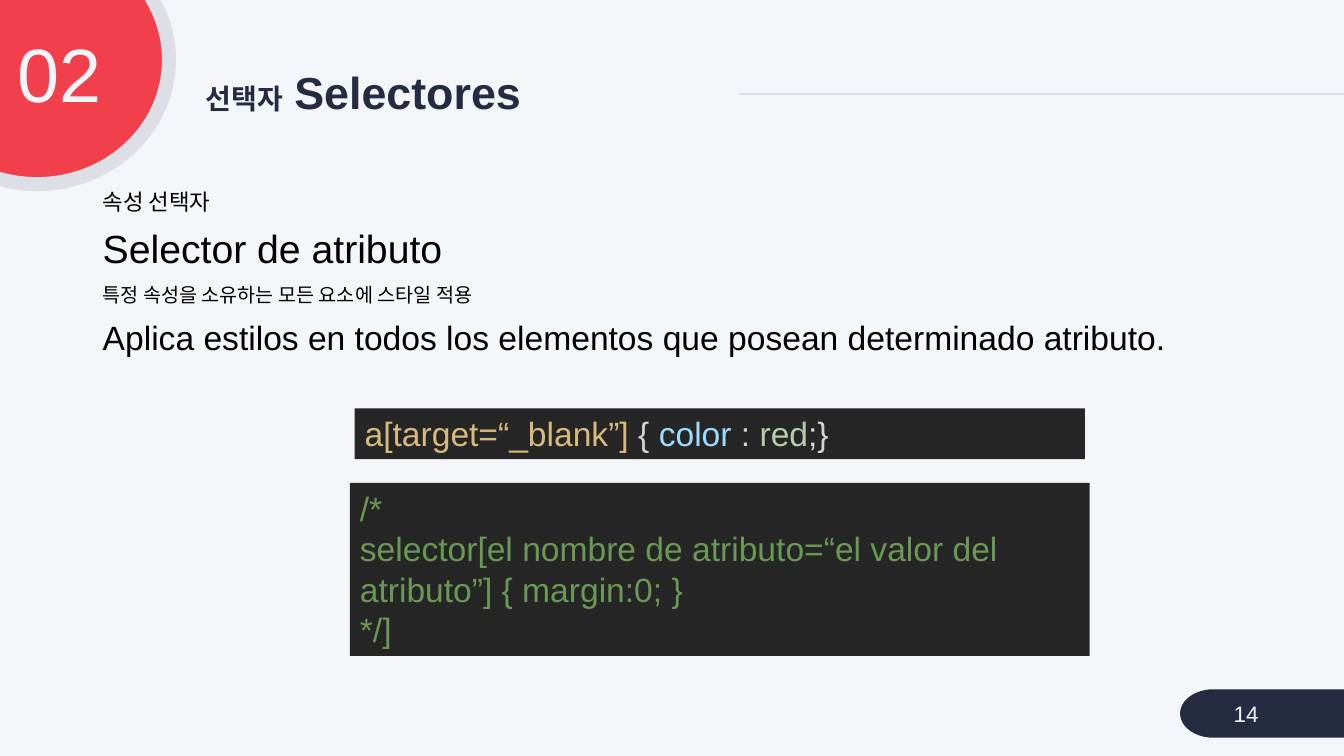
from pptx import Presentation
from pptx.dml.color import RGBColor
from pptx.enum.shapes import MSO_CONNECTOR, MSO_SHAPE
from pptx.enum.text import MSO_ANCHOR, PP_ALIGN
from pptx.oxml.ns import qn
from pptx.util import Cm, Pt
from lxml import etree

TOP, MIDDLE = MSO_ANCHOR.TOP, MSO_ANCHOR.MIDDLE
LEFT, RIGHT = PP_ALIGN.LEFT, PP_ALIGN.RIGHT
OVAL, PILL, RECTANGLE = MSO_SHAPE.OVAL, MSO_SHAPE.FLOWCHART_TERMINATOR, MSO_SHAPE.RECTANGLE
STRAIGHT = MSO_CONNECTOR.STRAIGHT

THEME = {
    "font": "Arial",
    "colors": {
        "background": "F4F5F9", "rule": "DDDFE6", "accent": "F1404B", "navy": "252C41",
        "text": "000000", "code_fill": "262626", "selector": "D7BA7D",
        "punctuation": "D4D4D4", "property": "9CDCFE", "value": "B5CEA8", "comment": "6A9955",
    },
    "sizes": {
        "section": 54, "title_gap": 36, "title": 32, "heading": 28, "body": 24, "code": 24,
        "title_note": 20, "heading_note": 16, "page": 16, "body_note": 14,
    },
}

SECTION = [[("02", "section", "background")]]
PAGE = [[("14", "page", "background")]]
TITLE = [[("선택자", "title_note", "navy"), (" ", "title_gap", "navy"), ("Selectores", "title", "navy")]]
BODY = [
    [("속성 선택자", "heading_note", "text")],
    [("Selector de atributo", "heading", "text")],
    [("특정 속성을 소유하는 모든 요소에 스타일 적용", "body_note", "text")],
    [("Aplica estilos en todos los elementos que posean determinado atributo.", "body", "text")],
]
RULE_CODE = [[
    ("a[target=“_blank”] ", "code", "selector"),
    ("{ ", "code", "punctuation"),
    ("color", "code", "property"),
    (" : ", "code", "punctuation"),
    ("red", "code", "value"),
    (";}", "code", "punctuation"),
]]
SYNTAX_CODE = [[(line, "code", "comment")] for line in (
    "/*",
    "selector[el nombre de atributo=“el valor del atributo”] { margin:0; }",
    "*/]",
)]

SLIDE_WIDTH, SLIDE_HEIGHT = 33.87, 19.05
RULE_START, RULE_TOP = 18.62, 2.36
DECORATIONS = [
    (OVAL, (-2.39, -1.63, 6.65, 6.27), "accent", ("rule", 10)),
    (PILL, (29.74, 17.37, 5.21, 1.22), "navy", None),
]
TEXT_BOXES = [
    (SECTION, (-0.28, 0.81, 3.1, 2.34), {"align": RIGHT, "line_spacing": 0.9, "space_before": 10}),
    (PAGE, (30.84, 17.48, 2.77, 1.02), {"anchor": MIDDLE}),
    (BODY, (2.34, 4.7, 29.21, 13.64), {"line_spacing": 0.9, "space_before": 10}),
    (TITLE, (4.93, 1.5, 13.69, 1.7), {"anchor": MIDDLE, "line_spacing": 0.9, "bold": True}),
]
CODE_CENTER = 18.14
CODE_BLOCKS = [(RULE_CODE, 10.29, 18.4, 1.28), (SYNTAX_CODE, 12.17, 18.64, 4.36)]


def color(name):
    return RGBColor.from_string(THEME["colors"][name])


def box(edges):
    return [Cm(edge) for edge in edges]


def write(shape, paragraphs, anchor=TOP, align=LEFT, line_spacing=1.0, space_before=0, bold=False):
    frame = shape.text_frame
    frame.word_wrap = True
    frame.vertical_anchor = anchor
    for index, runs in enumerate(paragraphs):
        paragraph = frame.add_paragraph() if index else frame.paragraphs[0]
        paragraph.alignment = align
        paragraph.line_spacing = line_spacing
        paragraph.space_before = Pt(space_before)
        paragraph.font.name = THEME["font"]
        paragraph.font.bold = bold
        for text, size, run_color in runs:
            run = paragraph.add_run()
            run.text = text
            run.font.size = Pt(THEME["sizes"][size])
            run.font.color.rgb = color(run_color)


def add_filled(slide, kind, edges, fill, outline=None):
    shape = slide.shapes.add_shape(kind, *box(edges))
    shape.shadow.inherit = False
    shape.fill.solid()
    shape.fill.fore_color.rgb = color(fill)
    if outline:
        shape.line.color.rgb = color(outline[0])
        shape.line.width = Pt(outline[1])
    else:
        shape.line.fill.background()
    return shape


presentation = Presentation()
presentation.slide_width, presentation.slide_height = Cm(SLIDE_WIDTH), Cm(SLIDE_HEIGHT)
slide = presentation.slides.add_slide(presentation.slide_layouts[6])
slide.background.fill.solid()
slide.background.fill.fore_color.rgb = color("background")

rule = slide.shapes.add_connector(STRAIGHT, *box((RULE_START, RULE_TOP, SLIDE_WIDTH, RULE_TOP)))
rule.line.color.rgb = color("rule")
rule.line.width = Pt(1.5)
etree.SubElement(rule.element.spPr, qn("a:effectLst"))

for kind, edges, fill, outline in DECORATIONS:
    add_filled(slide, kind, edges, fill, outline)

for paragraphs, edges, style in TEXT_BOXES:
    write(slide.shapes.add_textbox(*box(edges)), paragraphs, **style)

for paragraphs, top, width, height in CODE_BLOCKS:
    edges = (CODE_CENTER - width / 2, top, width, height)
    write(add_filled(slide, RECTANGLE, edges, "code_fill"), paragraphs)

presentation.save("out.pptx")
